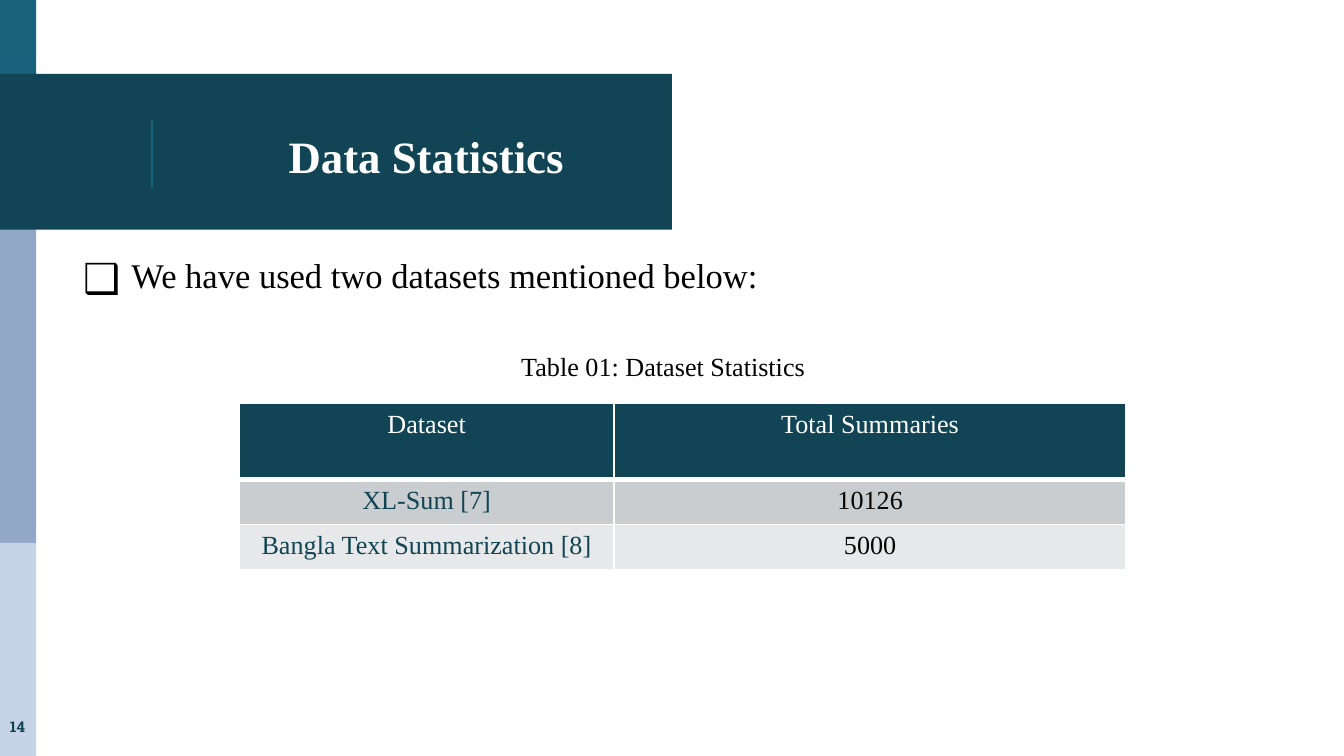
from lxml.etree import SubElement
from pptx import Presentation
from pptx.dml.color import RGBColor
from pptx.enum.shapes import MSO_CONNECTOR as Connector, MSO_SHAPE as Preset
from pptx.enum.text import MSO_ANCHOR as Anchor, PP_ALIGN as Align
from pptx.oxml import parse_xml
from pptx.oxml.ns import nsdecls, qn
from pptx.util import Inches, Pt

DARK_TEAL = RGBColor(0x11, 0x44, 0x54)
TEAL = RGBColor(0x18, 0x63, 0x7B)
BLUE = RGBColor(0x92, 0xA8, 0xC8)
PALE_BLUE = RGBColor(0xC7, 0xD3, 0xE6)
GREY = RGBColor(0xCA, 0xCD, 0xCF)
PALE_GREY = RGBColor(0xE6, 0xE8, 0xE9)
WHITE = RGBColor(0xFF, 0xFF, 0xFF)
BLACK = RGBColor(0, 0, 0)
NEAR_BLACK = RGBColor(0x05, 0x05, 0x05)
SERIF = "Times New Roman"
SLAB = "Roboto Slab"


def write(frame, text, size, color, font=SERIF, bold=False, align=Align.CENTER, inset=0.05):
    """Put one formatted paragraph in a text frame and return it."""
    frame.text = text
    frame.margin_left = frame.margin_right = Inches(0.1)
    frame.margin_top = frame.margin_bottom = Inches(inset)
    paragraph = frame.paragraphs[0]
    paragraph.alignment = align
    style = paragraph.runs[0].font
    style.name, style.size, style.bold = font, Pt(size), bold
    style.color.rgb = color
    return paragraph


def add_block(slide, left, top, width, height, color):
    """Add a plain filled rectangle."""
    block = slide.shapes.add_shape(
        Preset.RECTANGLE, Inches(left), Inches(top), Inches(width), Inches(height))
    block.shadow.inherit = False
    block.fill.solid()
    block.fill.fore_color.rgb = color
    block.line.fill.background()


def add_sidebar(slide, left, top, width):
    """Stack the coloured bands down the slide edge."""
    for offset, height, color in [(0, 0.58, TEAL), (1.7, 1.68, BLUE),
                                  (3.38, 0.66, BLUE), (4.04, 1.59, PALE_BLUE)]:
        add_block(slide, left, top + offset, width, height, color)


def add_title_banner(slide, left, top, width, height):
    """Draw the banner with its divider and set the title on it."""
    add_block(slide, left, top, width, height, DARK_TEAL)
    divider_x = Inches(left + 1.13)
    divider = slide.shapes.add_connector(
        Connector.STRAIGHT, divider_x, Inches(top + 0.34), divider_x, Inches(top + 0.85))
    divider.line.color.rgb = TEAL
    divider.line.width = Pt(0.75)
    SubElement(divider.element.spPr, qn("a:effectLst"))

    title = slide.shapes.title
    title.left, title.top = Inches(left + 1.34), Inches(top + 0.16)
    title.width, title.height = Inches(width - 1.34), Inches(0.9)
    write(title.text_frame, "Data Statistics", 24, WHITE, bold=True, inset=0.1)
    title.text_frame.vertical_anchor = Anchor.MIDDLE
    slide.shapes.element.append(title.element)  # bring in front of the banner


def add_text(slide, left, top, width, height, text, size, color, wrap=True, **options):
    """Add a text box and return its paragraph."""
    box = slide.shapes.add_textbox(Inches(left), Inches(top), Inches(width), Inches(height))
    box.text_frame.word_wrap = wrap
    return write(box.text_frame, text, size, color, **options)


def add_intro(slide, left, top, width, height):
    """Add the bulleted sentence that introduces the table."""
    intro = add_text(slide, left, top, width, height,
                     "We have used two datasets mentioned below:", 18.5, BLACK,
                     align=Align.JUSTIFY)
    intro.line_spacing = 0.8
    props = intro._p.get_or_add_pPr()
    props.set("marL", str(Inches(0.38)))
    props.set("indent", str(Inches(-0.36)))
    bullet_color = SubElement(props, qn("a:buClr"))
    SubElement(bullet_color, qn("a:srgbClr"), val=str(BLACK))
    SubElement(props, qn("a:buSzPct"), val="120000")
    SubElement(props, qn("a:buFont"), typeface="Noto Sans Symbols")
    SubElement(props, qn("a:buChar"), char="❑")


def set_borders(cell, bottom=1, top=1):
    """Draw white borders of the given widths in points."""
    props = cell._tc.get_or_add_tcPr()
    for index, (side, width) in enumerate([("L", 1), ("R", 1), ("T", top), ("B", bottom)]):
        props.insert(index, parse_xml(
            f'<a:ln{side} {nsdecls("a")} w="{Pt(width)}"><a:solidFill>'
            f'<a:srgbClr val="{WHITE}"/></a:solidFill></a:ln{side}>'))


def add_dataset_table(slide, left, top, width, height):
    """Add the table of datasets and their summary counts."""
    records = [("Dataset", "Total Summaries"),
               ("XL-Sum [7]", "10126"),
               ("Bangla Text Summarization [8]", "5000")]
    fills = [DARK_TEAL, GREY, PALE_GREY]
    table = slide.shapes.add_table(
        len(records), 2, Inches(left), Inches(top), Inches(width), Inches(height)).table
    table.columns[0].width = Inches(2.79)
    table.columns[1].width = Inches(width - 2.79)
    for row, row_height in zip(table.rows, (0.57, 0.33, 0.33)):
        row.height = Inches(row_height)
    for r, (record, fill) in enumerate(zip(records, fills)):
        colors = (WHITE, WHITE) if r == 0 else (DARK_TEAL, NEAR_BLACK)
        for c, (text, color) in enumerate(zip(record, colors)):
            cell = table.cell(r, c)
            write(cell.text_frame, text, 14, color)
            cell.margin_left = cell.margin_right = Inches(0.1)
            cell.margin_top = cell.margin_bottom = Inches(0.05)
            cell.fill.solid()
            cell.fill.fore_color.rgb = fill
            set_borders(cell, bottom=3 if r == 0 else 1, top=3 if r == 1 else 1)


def build_statistics_slide(deck):
    """Lay out the data statistics slide."""
    slide = deck.slides.add_slide(deck.slide_layouts[5])
    add_sidebar(slide, 0, 0, 0.27)
    add_title_banner(slide, 0, 0.55, 5, 1.16)
    add_intro(slide, 0.5, 1.9, 9, 0.9)
    add_dataset_table(slide, 1.78, 3, 6.6, 1.23)
    add_text(slide, -0.06, 5.27, 0.38, 0.35, "14", 8, DARK_TEAL,
             wrap=False, font=SLAB, bold=True, inset=0.14)
    add_text(slide, 3.78, 2.56, 3.42, 0.34, "Table 01: Dataset Statistics", 14, BLACK,
             align=Align.LEFT)


deck = Presentation()
deck.slide_width = Inches(10)
deck.slide_height = deck.slide_width * 9 // 16
build_statistics_slide(deck)
deck.save("out.pptx")
